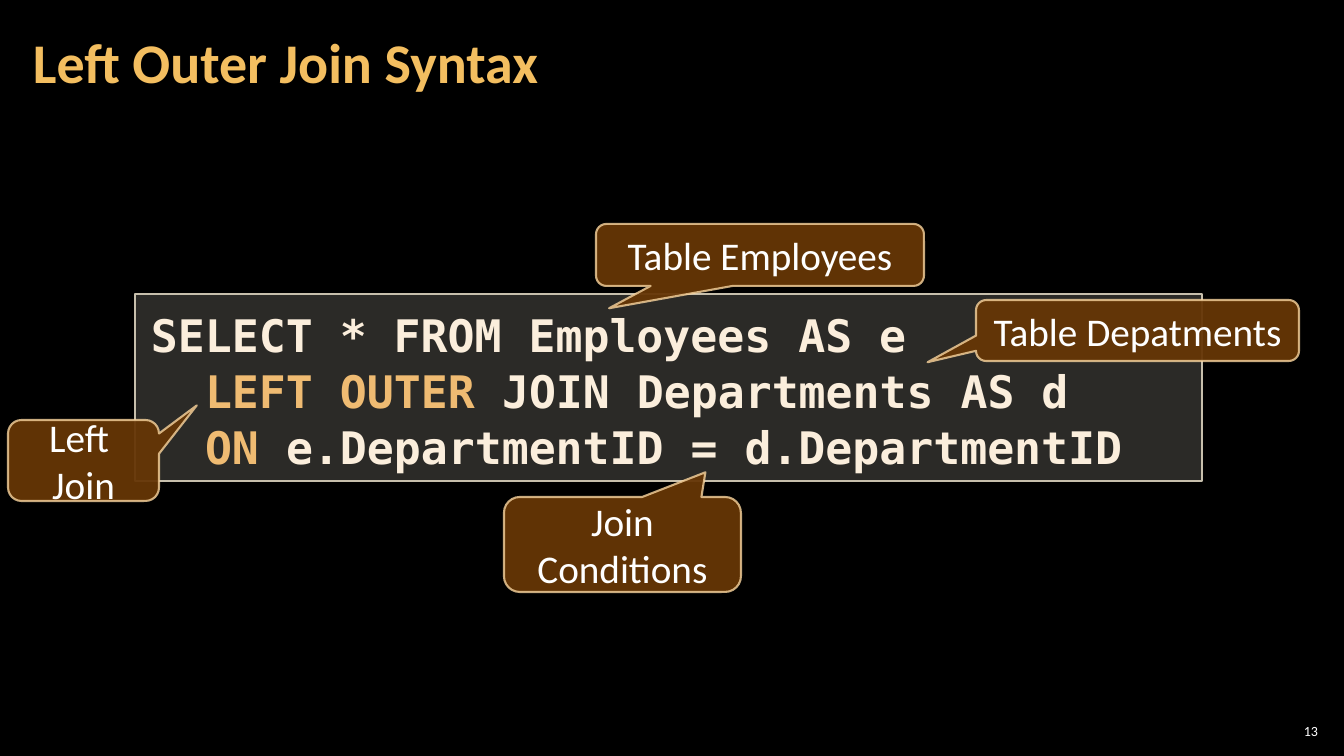
"""Build the slide that explains the left outer join syntax."""
from lxml.etree import SubElement
from pptx import Presentation
from pptx.dml.color import RGBColor
from pptx.enum.shapes import MSO_SHAPE as Shape
from pptx.enum.text import MSO_ANCHOR as Anchor, PP_ALIGN as Align
from pptx.oxml.ns import qn
from pptx.util import Emu, Pt

BLACK = RGBColor(0x00, 0x00, 0x00)
WHITE = RGBColor(0xFF, 0xFF, 0xFF)
GOLD = RGBColor(0xF3, 0xBE, 0x60)
KEYWORD = RGBColor(0xEF, 0xBB, 0x72)
CREAM = RGBColor(0xFB, 0xEE, 0xDC)
PANEL = RGBColor(0xD9, 0xD5, 0xC7)
PANEL_EDGE = RGBColor(0xC7, 0xBF, 0xAC)
BROWN = RGBColor(0x66, 0x36, 0x06)
CALLOUT_EDGE = RGBColor(0xF8, 0xD4, 0x9E)
TEXT_FONT, CODE_FONT = "Calibri", "DejaVu Sans Mono"

TITLE = "Left Outer Join Syntax"
SLIDE_NUMBER = "13"
CODE = [
    [("SELECT * FROM Employees AS e", CREAM)],
    [("  ", CREAM), ("LEFT OUTER", KEYWORD), (" JOIN Departments AS d", CREAM)],
    [("  ", CREAM), ("ON ", KEYWORD), ("e.DepartmentID = d.DepartmentID", CREAM)],
]
CALLOUTS = [
    ("Table Depatments", (976, 300, 323, 61), (-0.65, 0.52)),
    ("Table Employees", (596, 224, 328, 62), (-0.46, 0.86)),
    ("Join Conditions", (504, 497, 237, 95), (0.35, -0.76)),
    ("Left \vJoin", (8, 420, 151, 81), (0.75, -0.68)),
]


def px(length):
    """Turn pixels into EMU."""
    return Emu(round(length * 914400 / 100.8))


def set_alpha(parent, percent):
    """Make the solid colour of a fill or an outline partly transparent."""
    color = parent.find(qn("a:solidFill"))[0]
    SubElement(color, qn("a:alpha"), val=str(percent * 1000))


def set_insets(frame, across, down):
    """Set the side insets and the top and bottom insets."""
    frame.margin_left = frame.margin_right = px(across)
    frame.margin_top = frame.margin_bottom = px(down)


def style_font(font, name, size, color=None, bold=False):
    """Set the font of a paragraph."""
    font.name, font.size, font.bold = name, Pt(size), bold
    if color is not None:
        font.color.rgb = color


def add_box(slide, kind, place, fill, fill_alpha, edge, edge_width):
    """Add a filled and outlined shape with no shadow."""
    shape = slide.shapes.add_shape(kind, *map(px, place))
    shape.shadow.inherit = False
    shape.fill.solid()
    shape.fill.fore_color.rgb = fill
    set_alpha(shape.element.spPr, fill_alpha)
    shape.line.color.rgb = edge
    shape.line.width = Pt(edge_width)
    shape.text_frame.word_wrap = True
    return shape


def add_label(slide, text, place, insets, size, color, align, bold=False):
    """Add a vertically centred line of text."""
    frame = slide.shapes.add_textbox(*map(px, place)).text_frame
    frame.word_wrap = True
    frame.vertical_anchor = Anchor.MIDDLE
    set_insets(frame, *insets)
    paragraph = frame.paragraphs[0]
    paragraph.text = text
    paragraph.alignment = align
    style_font(paragraph.font, TEXT_FONT, size, color, bold)
    return paragraph


def add_code(slide):
    """Add the panel with the query."""
    panel = add_box(slide, Shape.RECTANGLE, (135, 294, 1067, 187), PANEL, 20, PANEL_EDGE, 1)
    frame = panel.text_frame
    frame.vertical_anchor = Anchor.TOP
    set_insets(frame, 16, 12)
    for index, pieces in enumerate(CODE):
        paragraph = frame.add_paragraph() if index else frame.paragraphs[0]
        paragraph.alignment = Align.LEFT
        paragraph.line_spacing = 1.04
        style_font(paragraph.font, CODE_FONT, 32, bold=True)
        for text, color in pieces:
            run = paragraph.add_run()
            run.text = text
            run.font.color.rgb = color


def add_callout(slide, text, place, tip):
    """Add a callout whose tip is given as shares of its size."""
    callout = add_box(slide, Shape.ROUNDED_RECTANGULAR_CALLOUT, place, BROWN, 95, CALLOUT_EDGE, 1.5)
    set_alpha(callout.element.spPr.find(qn("a:ln")), 80)
    callout.adjustments[0], callout.adjustments[1] = tip
    frame = callout.text_frame
    frame.vertical_anchor = Anchor.MIDDLE
    paragraph = frame.paragraphs[0]
    paragraph.text = text
    paragraph.alignment = Align.CENTER
    style_font(paragraph.font, TEXT_FONT, 28, WHITE)


def main():
    """Build and save the presentation."""
    presentation = Presentation()
    presentation.slide_width, presentation.slide_height = px(1344), px(756)
    slide = presentation.slides.add_slide(presentation.slide_layouts[6])
    slide.background.fill.solid()
    slide.background.fill.fore_color.rgb = BLACK
    add_code(slide)
    add_label(slide, SLIDE_NUMBER, (1275, 720, 47, 21), (4, 4), 10, WHITE, Align.RIGHT)
    title = add_label(slide, TITLE, (21, 4, 1055, 122), (12, 4), 40, GOLD, Align.LEFT, True)
    title.line_spacing = 0.9
    for callout in CALLOUTS:
        add_callout(slide, *callout)
    presentation.save("out.pptx")


if __name__ == "__main__":
    main()
